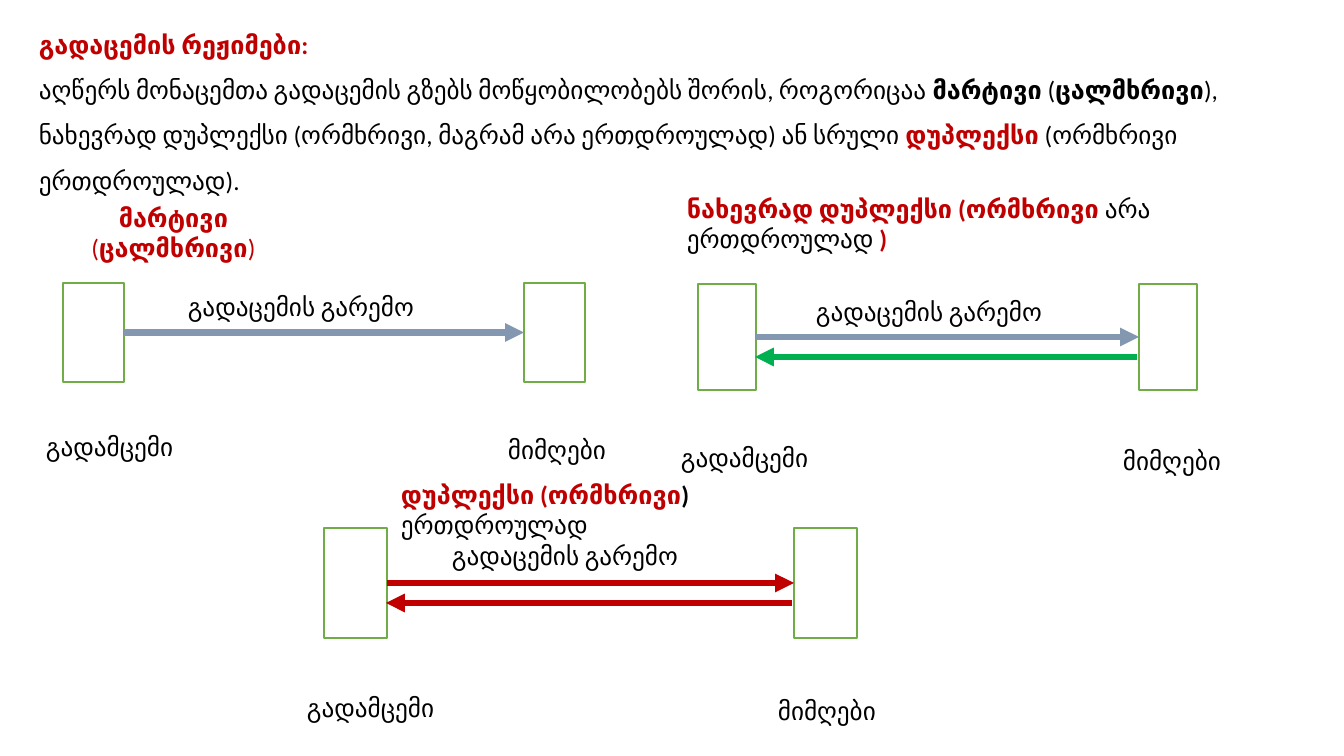
import pptx
import pptx.dml.color
import pptx.enum.shapes
import pptx.enum.text
import pptx.oxml.ns
import pptx.util
from lxml import etree

PX = 914400 / 100.8
RED = pptx.dml.color.RGBColor(0xC0, 0x00, 0x00)
BLACK = pptx.dml.color.RGBColor(0x00, 0x00, 0x00)
WHITE = pptx.dml.color.RGBColor(0xFF, 0xFF, 0xFF)
BOX_GREEN = pptx.dml.color.RGBColor(0x70, 0xAD, 0x47)
GREEN = pptx.dml.color.RGBColor(0x00, 0xB0, 0x50)
GREY_BLUE = pptx.dml.color.RGBColor(0x84, 0x97, 0xB0)
LEFT = pptx.enum.text.PP_ALIGN.LEFT
CENTER = pptx.enum.text.PP_ALIGN.CENTER


def add_text(shapes, area, paragraphs, align=LEFT, spacing=1.0):
    """Each paragraph is a list of (words, colour, bold) runs."""
    box = shapes.add_textbox(*[round(v * PX) for v in area])
    frame = box.text_frame
    frame.word_wrap = True
    frame.auto_size = pptx.enum.text.MSO_AUTO_SIZE.SHAPE_TO_FIT_TEXT
    for index, runs in enumerate(paragraphs):
        paragraph = frame.add_paragraph() if index else frame.paragraphs[0]
        paragraph.alignment = align
        paragraph.line_spacing = spacing
        for words, color, bold in runs:
            run = paragraph.add_run()
            run.text = words
            run.font.color.rgb = color
            font_format = {"name": "Calibri", "size": pptx.util.Pt(18), "bold": bold}
            for key, value in font_format.items():
                setattr(run.font, key, value)


def add_arrow(shapes, left, right, y, color, end):
    """end is headEnd for an arrow pointing left, tailEnd for one pointing right."""
    arrow = shapes.add_connector(
        pptx.enum.shapes.MSO_CONNECTOR.STRAIGHT,
        *[round(v * PX) for v in (left, y, right, y)])
    arrow.line.color.rgb = color
    arrow.line.width = pptx.util.Pt(4.5)
    line = arrow.line._get_or_add_ln()
    etree.SubElement(line, pptx.oxml.ns.qn("a:" + end), type="triangle")
    etree.SubElement(arrow._element.spPr, pptx.oxml.ns.qn("a:effectLst"))
    return arrow


deck = pptx.Presentation()
deck.slide_width = round(1344 * PX)
deck.slide_height = round(756 * PX)
slide = deck.slides.add_slide(deck.slide_layouts[6])

# Introduction
add_text(slide.shapes, (29, 9, 1240, 190), [
    [("გადაცემის რეჟიმები:", RED, True)],
    [("აღწერს მონაცემთა გადაცემის გზებს მოწყობილობებს შორის, როგორიცაა ", BLACK, False),
     ("მარტივი", BLACK, True),
     (" (", BLACK, False),
     ("ცალმხრივი", BLACK, True),
     ("), ნახევრად დუპლექსი (ორმხრივი, მაგრამ არა ერთდროულად) ან სრული ", BLACK, False),
     ("დუპლექსი", RED, True),
     (" (ორმხრივი ერთდროულად).", BLACK, False)],
], spacing=1.5)

# The three transmission modes
modes = [
    {"title": [("მარტივი", RED, True), (" (", RED, False),
               ("ცალმხრივი", RED, True), (")", RED, False)],
     "title_area": (36, 197, 275, 40), "align": CENTER,
     "sender": 63, "receiver": 524, "top": 283, "size": (61, 99),
     "labels_top": 426, "medium": (178, 286, 265, 36),
     "forward": GREY_BLUE, "back": None},
    {"title": [("ნახევრად დუპლექსი (ორმხრივი ", RED, True),
               ("არა ერთდროულად", BLACK, False), (" )", RED, True)],
     "title_area": (677, 188, 643, 40), "align": LEFT,
     "sender": 698, "receiver": 1139, "top": 284, "size": (58, 106),
     "labels_top": 437, "medium": (806, 291, 253, 39),
     "forward": GREY_BLUE, "back": GREEN},
    {"title": [("დუპლექსი (ორმხრივი", RED, True), (")", BLACK, True),
               (" ერთდროულად", BLACK, False)],
     "title_area": (391, 474, 493, 40), "align": LEFT,
     "sender": 324, "receiver": 794, "top": 528, "size": (63, 110),
     "labels_top": 687, "medium": (442, 535, 270, 40),
     "forward": RED, "back": RED},
]

for mode in modes:
    diagram = slide.shapes.add_group_shape().shapes
    top = mode["top"]
    width, height = mode["size"]
    start, finish = mode["sender"] + width, mode["receiver"]
    middle = top + height / 2

    # Sender and receiver
    devices = []
    for left in (mode["sender"], mode["receiver"]):
        device = diagram.add_shape(
            pptx.enum.shapes.MSO_SHAPE.RECTANGLE,
            *[round(v * PX) for v in (left, top, width, height)])
        device.shadow.inherit = False
        device.fill.solid()
        device.fill.fore_color.rgb = WHITE
        device.line.color.rgb = BOX_GREEN
        device.line.width = pptx.util.Pt(1)
        devices.append(device)

    # Forward channel
    forward = add_arrow(diagram, start, finish, middle, mode["forward"], "tailEnd")
    forward.begin_connect(devices[0], 3)
    forward.end_connect(devices[1], 1)

    # Labels
    labels_top = mode["labels_top"]
    for words, area in (
        ("გადამცემი", (mode["sender"] - 27, labels_top, 174, 39)),
        ("მიმღები", (mode["receiver"] - 26, labels_top + 3, 174, 39)),
        ("გადაცემის გარემო", mode["medium"]),
    ):
        add_text(diagram, area, [[(words, BLACK, False)]])

    # Return channel
    if mode["back"] is not None:
        add_arrow(diagram, start - 1, finish - 2, middle + 20, mode["back"], "headEnd")

    add_text(slide.shapes, mode["title_area"], [mode["title"]], mode["align"])

deck.save("out.pptx")
